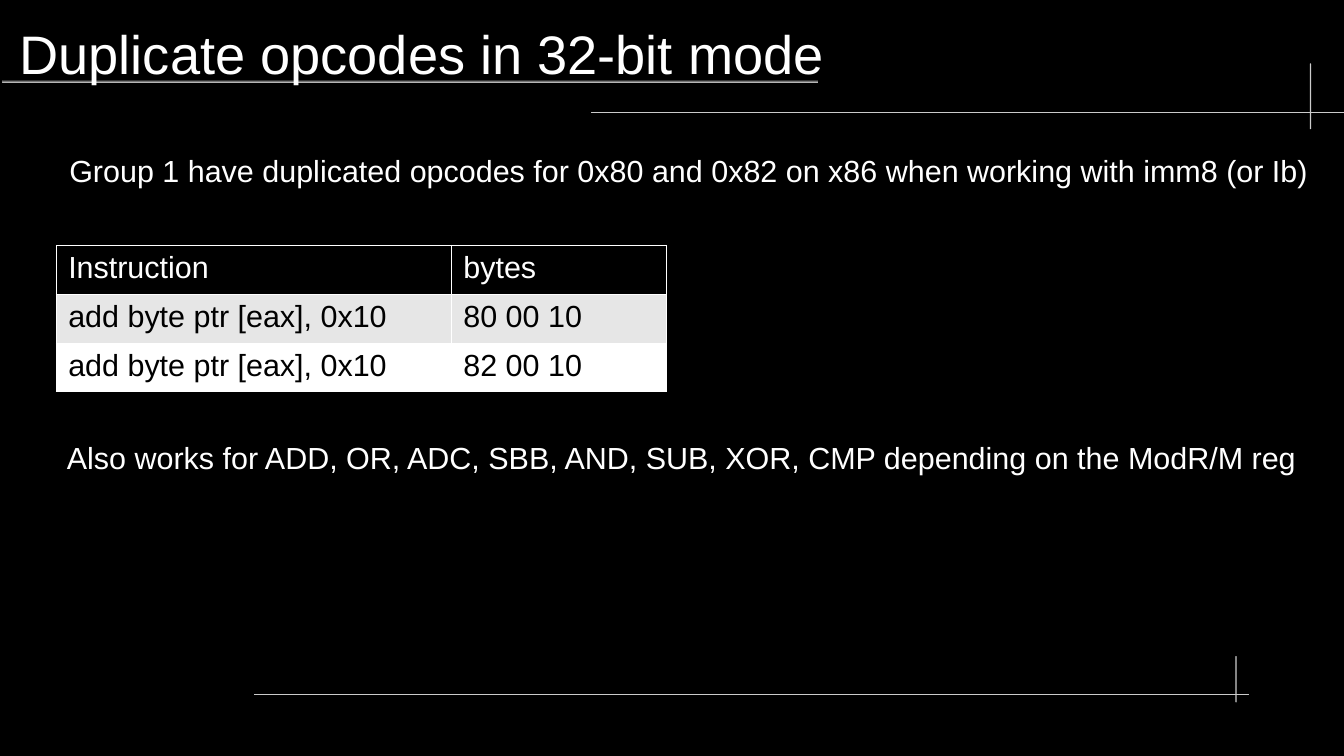
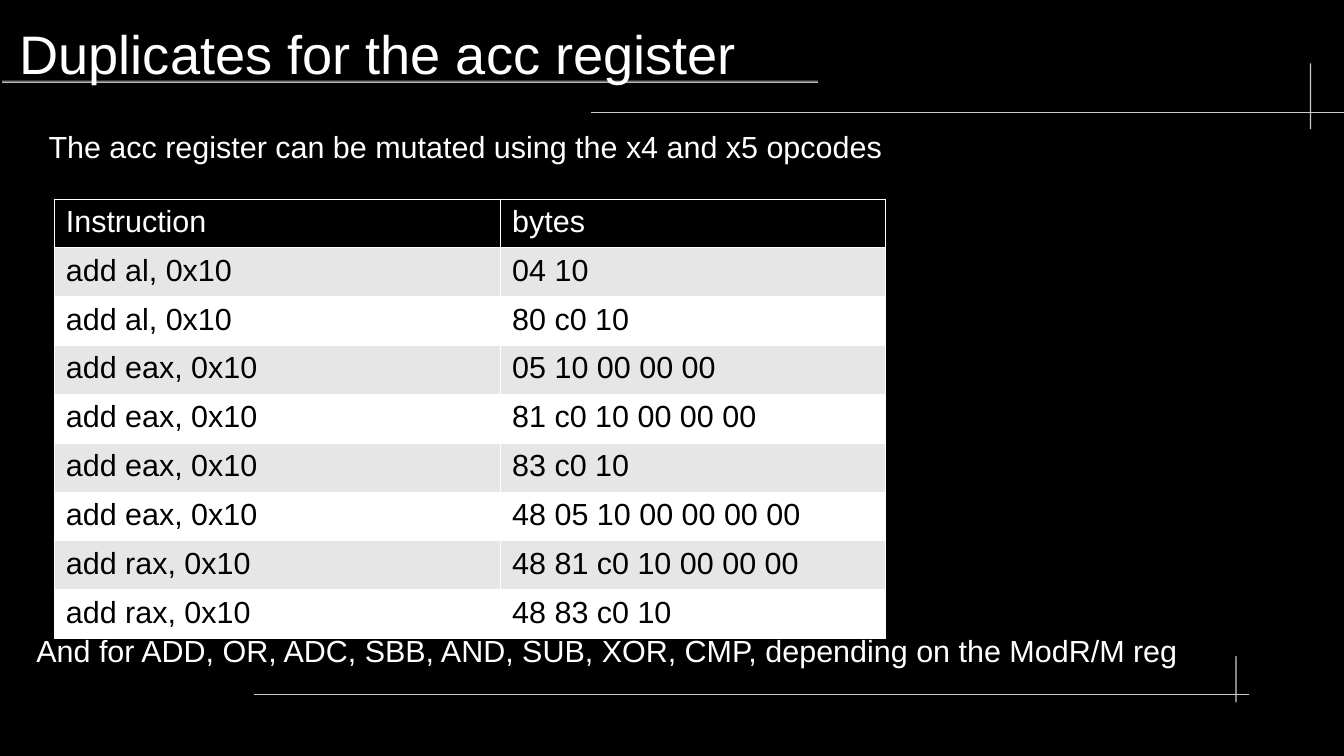
"""Build two slides about duplicate x86 opcodes."""
from lxml import etree
from pptx import Presentation
from pptx import util as u
from pptx.dml.color import RGBColor
from pptx.enum import shapes, text
from pptx.oxml.ns import qn

FONT = "Arial"
BLACK = RGBColor(0x00, 0x00, 0x00)
WHITE = RGBColor(0xFF, 0xFF, 0xFF)
BAND = RGBColor(0xE6, 0xE6, 0xE6)
LIGHT = RGBColor(0xCC, 0xCC, 0xCC)
DARK = RGBColor(0x33, 0x33, 0x33)

TITLE_AREA = (0.16, 0.08, 10.43, 0.71)
NOTE_HEIGHT = 0.38
ROW_HEIGHT = 0.4
BORDER_WIDTH = u.Pt(0.06)

RULES = [
    ((0.02, 0.66, 6.69, 0.02), (LIGHT, DARK)),
    ((4.85, 0.92, 6.21, 0.01), (DARK, LIGHT)),
    ((10.74, 0.52, 0.01, 0.54), (LIGHT,)),
    ((2.08, 5.69, 8.16, 0.01), (DARK, LIGHT)),
    ((10.13, 5.38, 0.01, 0.38), (LIGHT,)),
]

HEADER = ("Instruction", "bytes")

PAGES = [
    {
        "title": "Duplicate opcodes in 32-bit mode",
        "notes": [
            ((0.47, 1.2, 10.36), "Group 1 have duplicated opcodes for 0x80 and 0x82 "
                                 "on x86 when working with imm8 (or Ib)"),
            ((0.45, 3.55, 10.28), "Also works for ADD, OR, ADC, SBB, AND, SUB, XOR, CMP "
                                  "depending on the ModR/M reg"),
        ],
        "table_at": (0.46, 2.01),
        "columns": (3.24, 1.76),
        "rows": [
            ("add byte ptr [eax], 0x10", "80 00 10"),
            ("add byte ptr [eax], 0x10", "82 00 10"),
        ],
    },
    {
        "title": "Duplicates for the acc register",
        "notes": [
            ((0.3, 1, 7.04), "The acc register can be mutated using the x4 and x5 opcodes"),
            ((0.2, 5.13, 9.56), "And for ADD, OR, ADC, SBB, AND, SUB, XOR, CMP, "
                                "depending on the ModR/M reg"),
        ],
        "table_at": (0.44, 1.63),
        "columns": (3.66, 3.16),
        "rows": [
            ("add al, 0x10", "04 10"),
            ("add al, 0x10", "80 c0 10"),
            ("add eax, 0x10", "05 10 00 00 00"),
            ("add eax, 0x10", "81 c0 10 00 00 00"),
            ("add eax, 0x10", "83 c0 10"),
            ("add eax, 0x10", "48 05 10 00 00 00 00"),
            ("add rax, 0x10", "48 81 c0 10 00 00 00"),
            ("add rax, 0x10", "48 83 c0 10"),
        ],
    },
]


def inches(values):
    return [u.Inches(value) for value in values]


def write(frame, words, size, color):
    para = frame.paragraphs[0]
    para.text = words
    para.font.name = FONT
    para.font.size = u.Pt(size)
    para.font.color.rgb = color


def add_rule(page, area, colors):
    rule = page.shapes.add_shape(shapes.MSO_SHAPE.ROUNDED_RECTANGLE, *inches(area))
    rule.adjustments[0] = 0.5
    rule.shadow.inherit = False
    rule.line.fill.background()
    if len(colors) == 1:
        rule.fill.solid()
        rule.fill.fore_color.rgb = colors[0]
        return
    rule.fill.gradient()
    rule.fill.gradient_angle = 90
    for stop, color in zip(rule.fill.gradient_stops, colors):
        stop.color.rgb = color


def add_title(page, words):
    frame = page.shapes.add_textbox(*inches(TITLE_AREA)).text_frame
    frame.word_wrap = True
    frame.vertical_anchor = text.MSO_ANCHOR.MIDDLE
    frame.margin_left = frame.margin_right = frame.margin_top = frame.margin_bottom = 0
    write(frame, words, 32, WHITE)


def add_note(page, place, words):
    frame = page.shapes.add_textbox(*inches((*place, NOTE_HEIGHT))).text_frame
    frame.word_wrap = False
    write(frame, words, 18, WHITE)


def add_borders(cell):
    properties = cell._tc.get_or_add_tcPr()
    for index, side in enumerate(("a:lnL", "a:lnR", "a:lnT", "a:lnB")):
        line = etree.Element(qn(side), w=str(BORDER_WIDTH))
        fill = etree.SubElement(line, qn("a:solidFill"))
        etree.SubElement(fill, qn("a:srgbClr"), val=str(WHITE))
        properties.insert(index, line)


def add_opcode_table(page, place, columns, rows):
    lines = [HEADER, *rows]
    size = (sum(columns), ROW_HEIGHT * len(lines))
    table = page.shapes.add_table(len(lines), len(columns), *inches((*place, *size))).table
    table.first_row = table.horz_banding = False
    for column, width in zip(table.columns, columns):
        column.width = u.Inches(width)
    for number, line in enumerate(lines):
        table.rows[number].height = u.Inches(ROW_HEIGHT)
        fill = BLACK if number == 0 else BAND if number % 2 else WHITE
        for cell, words in zip(table.rows[number].cells, line):
            cell.fill.solid()
            cell.fill.fore_color.rgb = fill
            write(cell.text_frame, words, 18, BLACK if number else WHITE)
            add_borders(cell)


deck = Presentation()
deck.slide_width, deck.slide_height = inches((11.02, 6.2))
backdrop = deck.slide_master.background.fill
backdrop.solid()
backdrop.fore_color.rgb = BLACK

for content in PAGES:
    page = deck.slides.add_slide(deck.slide_layouts[6])
    for area, colors in RULES:
        add_rule(page, area, colors)
    add_title(page, content["title"])
    add_opcode_table(page, content["table_at"], content["columns"], content["rows"])
    for place, words in content["notes"]:
        add_note(page, place, words)

deck.save("out.pptx")
